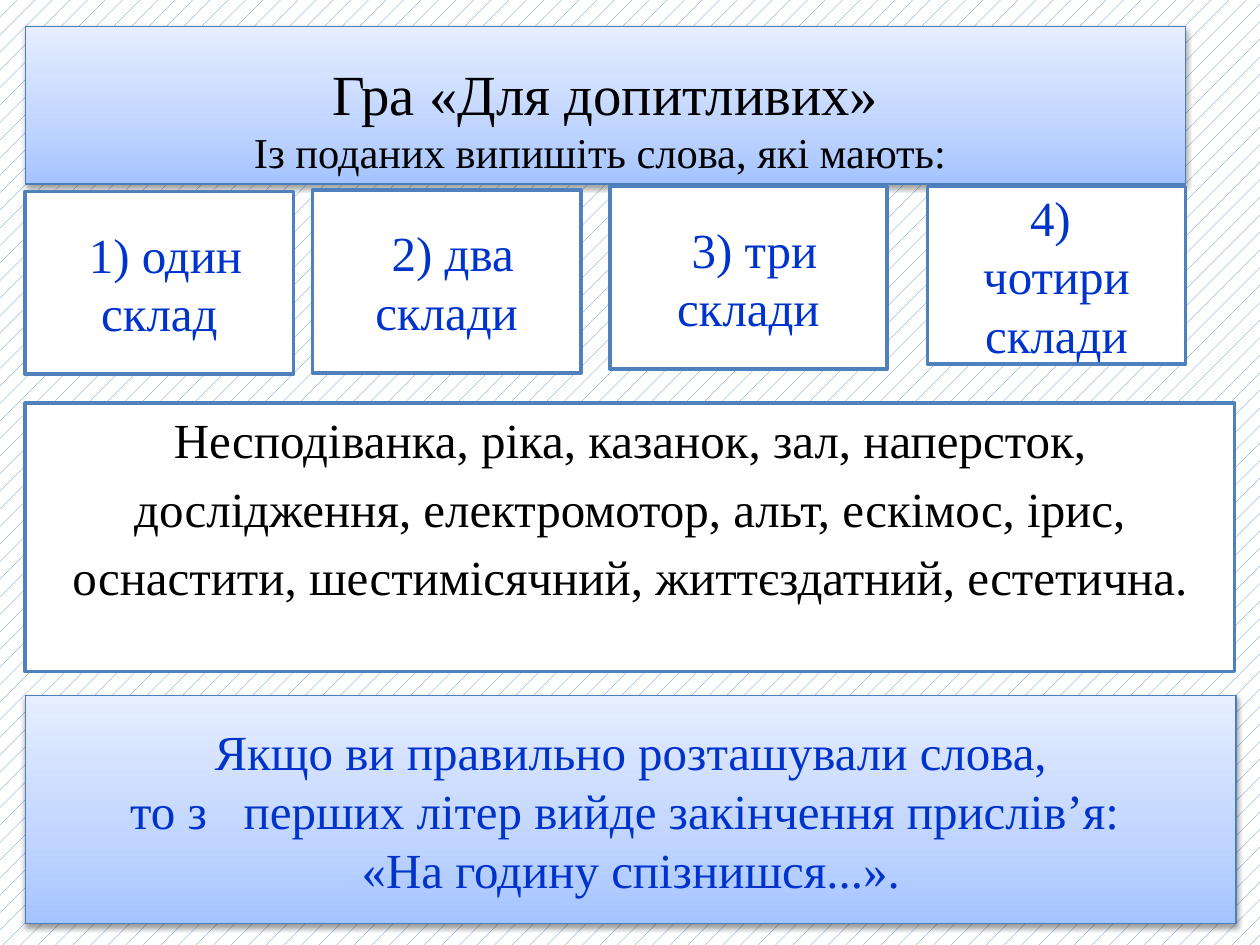
from lxml import etree
from copy import deepcopy
from pptx import Presentation
from pptx.dml.color import RGBColor
from pptx.enum.dml import MSO_PATTERN
from pptx.enum.shapes import MSO_SHAPE as Shape
from pptx.enum.text import MSO_ANCHOR as Anchor, PP_ALIGN as Align
from pptx.oxml.ns import qn
from pptx.util import Inches, Pt

BLACK = RGBColor(0x00, 0x00, 0x00)
WHITE = RGBColor(0xFF, 0xFF, 0xFF)
TEXT_BLUE = RGBColor(0x00, 0x33, 0xCC)
BORDER = RGBColor(0x4F, 0x81, 0xBD)
PANEL_BORDER = RGBColor(0x4B, 0x7E, 0xBC)
GRADIENT = [
    (0, RGBColor(0xA4, 0xC4, 0xFF)),
    (0.35, RGBColor(0xBF, 0xD4, 0xFF)),
    (1, RGBColor(0xE6, 0xEE, 0xFF)),
]
FONT = "Times New Roman"
LEFT = 0.2

TITLE = [("Гра «Для допитливих»", 32.4), ("Із поданих випишіть слова, які мають: ", 24.3)]
CARDS = [
    ((LEFT, 1.52, 2.13, 1.45), [" 1) один склад"]),
    ((2.48, 1.51, 2.13, 1.45), [" 2) два склади"]),
    ((4.84, 1.48, 2.2, 1.45), [" 3) три склади"]),
    ((7.36, 1.48, 2.05, 1.41), ["4) ", "чотири склади"]),
]
WORDS = [
    "Несподіванка, ріка, казанок, зал, наперсток,",
    "дослідження, електромотор, альт, ескімос, ірис,",
    "оснастити, шестимісячний, життєздатний, естетична.",
]
HINT = [
    "Якщо ви правильно розташували слова,",
    "то з   перших літер вийде закінчення прислів’я: ",
    "«На годину спізнишся...».",
]


def add_box(slide, box, border, width):
    """Add a bordered rectangle without a shadow."""
    shape = slide.shapes.add_shape(Shape.RECTANGLE, *map(Inches, box))
    shape.line.color.rgb = border
    shape.line.width = Pt(width)
    shape.shadow.inherit = False
    return shape


def add_card(slide, box):
    """Add a white box with a blue border."""
    shape = add_box(slide, box, BORDER, 2)
    shape.fill.solid()
    shape.fill.fore_color.rgb = WHITE
    return shape


def add_panel(slide, box):
    """Add a box with a blue gradient and a soft shadow."""
    shape = add_box(slide, box, PANEL_BORDER, 0.75)
    shape.fill.gradient()
    shape.fill.gradient_angle = 90
    stop_list = shape._element.spPr.find(qn("a:gradFill")).find(qn("a:gsLst"))
    stop_list.append(deepcopy(stop_list[-1]))
    for stop, (position, color) in zip(shape.fill.gradient_stops, GRADIENT):
        stop.position = position
        stop.color.rgb = color
    effects = shape._element.spPr.find(qn("a:effectLst"))
    shadow = etree.SubElement(effects, qn("a:outerShdw"), blurRad=str(Pt(3.1)),
                              dist=str(Pt(1.6)), dir="5400000", rotWithShape="0")
    shadow_color = etree.SubElement(shadow, qn("a:srgbClr"), val=str(BLACK))
    etree.SubElement(shadow_color, qn("a:alpha"), val="38000")
    return shape


def write_lines(shape, lines, color, anchor=Anchor.MIDDLE, space_before=0):
    """Write centred paragraphs, each given as text and size."""
    frame = shape.text_frame
    frame.word_wrap = True
    frame.vertical_anchor = anchor
    for index, (text, size) in enumerate(lines):
        paragraph = frame.add_paragraph() if index else frame.paragraphs[0]
        paragraph.text = text
        paragraph.alignment = Align.CENTER
        paragraph.space_before = Pt(space_before)
        paragraph.font.name = FONT
        paragraph.font.size = Pt(size)
        paragraph.font.color.rgb = color


def at_body_size(lines):
    """Pair each line with the body text size."""
    return [(line, 28) for line in lines]


def add_title(slide, box):
    """Add the title panel with its text slightly below the middle."""
    panel = add_panel(slide, box)
    panel.text_frame.margin_top = Inches(0.25)
    write_lines(panel, TITLE, BLACK)


def add_word_list(slide, box):
    """Add the box of words to sort."""
    write_lines(add_card(slide, box), at_body_size(WORDS), BLACK, Anchor.TOP, 5.6)


def add_syllable_cards(slide, cards):
    """Add one card for each number of syllables."""
    for box, lines in cards:
        write_lines(add_card(slide, box), at_body_size(lines), TEXT_BLUE)


def add_hint(slide, box):
    """Add the panel that explains the answer."""
    write_lines(add_panel(slide, box), at_body_size(HINT), TEXT_BLUE)


def main():
    """Build and save the slide."""
    presentation = Presentation()
    presentation.slide_width = Inches(10)
    presentation.slide_height = Inches(7.5)
    slide = presentation.slides.add_slide(presentation.slide_layouts[6])
    background = slide.background.fill
    background.patterned()
    background.pattern = MSO_PATTERN.PERCENT_5
    background.fore_color.rgb = BORDER
    background.back_color.rgb = WHITE
    add_title(slide, (LEFT, 0.21, 9.21, 1.25))
    add_word_list(slide, (LEFT, 3.2, 9.6, 2.13))
    add_syllable_cards(slide, CARDS)
    add_hint(slide, (LEFT, 5.52, 9.61, 1.81))
    presentation.save("out.pptx")


if __name__ == "__main__":
    main()
